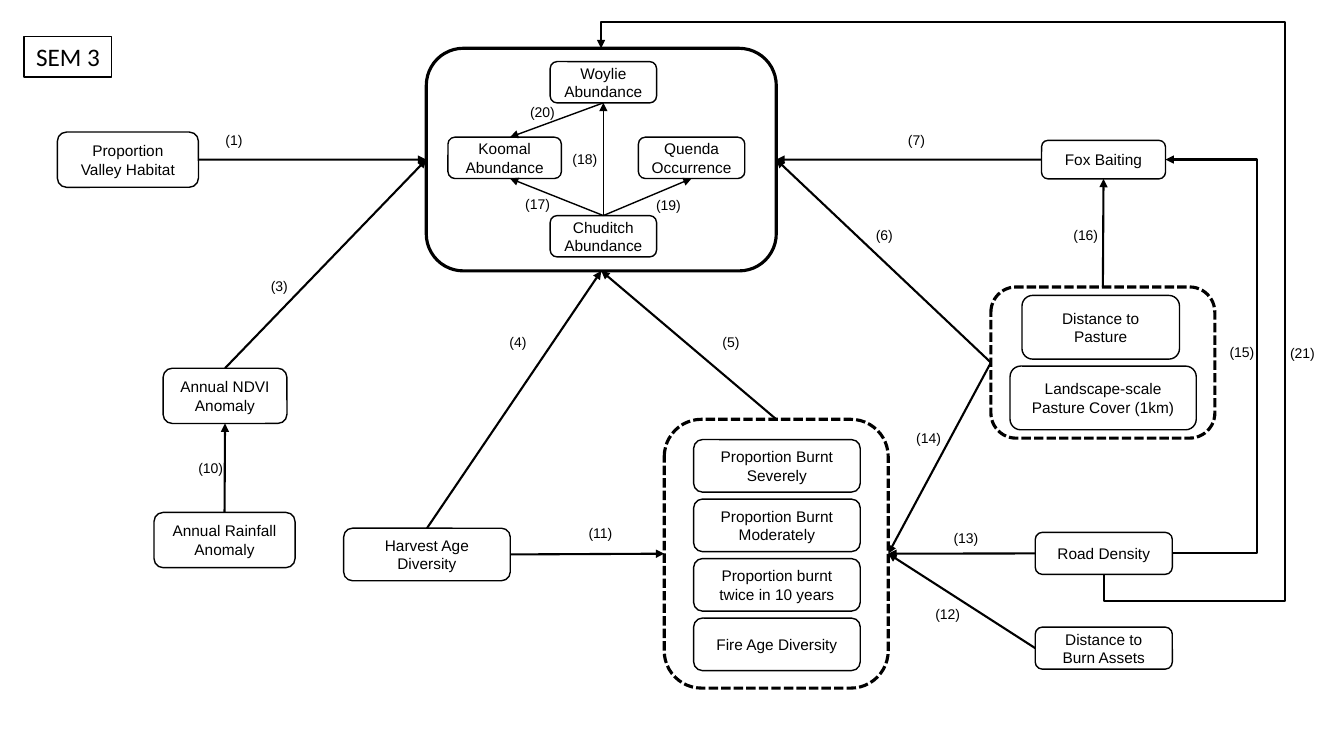
from lxml.etree import SubElement
from pptx import Presentation
from pptx.dml.color import RGBColor
from pptx.enum.dml import MSO_LINE as Dash
from pptx.enum.shapes import MSO_CONNECTOR as Link, MSO_SHAPE as Preset
from pptx.enum.text import MSO_ANCHOR as Anchor, MSO_AUTO_SIZE as Fit, PP_ALIGN as Align
from pptx.oxml.ns import qn
from pptx.util import Pt

TOP, LEFT, BOTTOM, RIGHT = range(4)


def color(hex_code):
    return RGBColor.from_string(hex_code)


class PathDiagram:
    INK, PAPER, FONT = "000000", "FFFFFF", "Arial"

    def __init__(self, slide):
        self.shapes = slide.shapes

    def set_text(self, shape, text, size, align=Align.CENTER, font=FONT):
        shape.text_frame.text = text
        paragraph = shape.text_frame.paragraphs[0]
        paragraph.alignment = align
        paragraph.font.size = Pt(size)
        paragraph.font.name = font
        paragraph.font.color.rgb = color(self.INK)

    def outline(self, preset, bounds, weight):
        shape = self.shapes.add_shape(preset, *map(Pt, bounds))
        shape.shadow.inherit = False
        shape.line.color.rgb = color(self.INK)
        shape.line.width = Pt(weight)
        return shape

    def frame(self, *bounds, dash=None):
        shape = self.outline(Preset.ROUNDED_RECTANGLE, bounds, 2.25)
        shape.fill.background()
        if dash:
            shape.line.dash_style = dash
        return shape

    def box(self, text, *bounds, preset=Preset.ROUNDED_RECTANGLE, size=11, font=FONT):
        shape = self.outline(preset, bounds, 1)
        shape.fill.solid()
        shape.fill.fore_color.rgb = color(self.PAPER)
        self.set_text(shape, text, size, font=font)
        shape.text_frame.vertical_anchor = Anchor.MIDDLE
        return shape

    def label(self, number, x, y, align):
        width = 30 if number < 10 else 37
        shape = self.shapes.add_textbox(Pt(x), Pt(y), Pt(width), Pt(19.5))
        self.set_text(shape, f"({number})", 10, align)
        shape.text_frame.word_wrap = True
        shape.text_frame.auto_size = Fit.SHAPE_TO_FIT_TEXT

    def finish(self, link, weight):
        link.line.color.rgb = color(self.INK)
        link.line.width = Pt(weight)
        properties = link._element.spPr
        SubElement(properties.find(qn("a:ln")), qn("a:tailEnd"), type="triangle")
        SubElement(properties, qn("a:effectLst"))

    def arrow(self, start, end, weight=1.5):
        """Each end is a (shape, side) pair to join, or a plain (x, y) point."""
        points = [(0, 0) if hasattr(a, "shape_id") else (a, b) for a, b in (start, end)]
        link = self.shapes.add_connector(Link.STRAIGHT, *(Pt(v) for p in points for v in p))
        for (target, side), join in ((start, link.begin_connect), (end, link.end_connect)):
            if hasattr(target, "shape_id"):
                join(target, side)
        self.finish(link, weight)

    def elbow(self, preset, start, end, bends, degrees=0):
        """Bends are fractions of the connector's extent; start and end precede turning."""
        link = self.shapes.add_connector(Link.ELBOW, *map(Pt, start + end))
        properties = link._element.spPr
        properties.find(qn("a:xfrm")).set("rot", str(degrees * 60000))
        geometry = properties.find(qn("a:prstGeom"))
        geometry.set("prst", preset)
        adjustments = geometry.find(qn("a:avLst"))
        if adjustments is None:
            adjustments = SubElement(geometry, qn("a:avLst"))
        for i, bend in enumerate(bends, 1):
            SubElement(adjustments, qn("a:gd"), name=f"adj{i}",
                       fmla=f"val {round(bend * 100000)}")
        self.finish(link, 1.5)


def main():
    deck = Presentation()
    deck.slide_width, deck.slide_height = Pt(960), Pt(540)
    diagram = PathDiagram(deck.slides.add_slide(deck.slide_layouts[6]))
    box, arrow = diagram.box, diagram.arrow

    # Title
    title = box("SEM 3", 17.3, 26, 62.6, 29, preset=Preset.RECTANGLE, size=18, font="Calibri")
    title.text_frame.word_wrap = False

    # Frames around the grouped variables
    species = diagram.frame(304.5, 34.5, 250, 159)
    fire = diagram.frame(474.5, 299.5, 160, 192, dash=Dash.SQUARE_DOT)
    pasture = diagram.frame(707.8, 205, 160, 108, dash=Dash.SQUARE_DOT)

    # Species
    woylie = box("Woylie Abundance", 393, 44, 76, 29.5)
    quenda = box("Quenda Occurrence", 456, 98, 76, 29.5)
    chuditch = box("Chuditch Abundance", 393, 154, 76, 29.5)
    box("Koomal Abundance", 320, 98, 81, 29.5)

    # Fire history
    for row, text in enumerate(("Proportion Burnt Severely", "Proportion Burnt Moderately",
                                "Proportion burnt twice in 10 years", "Fire Age Diversity")):
        box(text, 495.5, 314 + 42.5 * row, 119, 37.5)

    # Pasture
    box("Distance to Pasture", 730, 211, 112.5, 45.5)
    box("Landscape-scale Pasture Cover (1km)", 721.5, 261.5, 133, 45.5)

    # Single variables
    valley = box("Proportion Valley Habitat", 41, 94.3, 100.8, 39.5)
    ndvi = box("Annual NDVI Anomaly", 116.5, 263, 88.5, 39.5)
    rainfall = box("Annual Rainfall Anomaly", 110, 366, 100.8, 39.5)
    harvest = box("Harvest Age Diversity", 245.5, 377.3, 119, 37.5)
    baiting = box("Fox Baiting", 744, 100.3, 88.5, 27.5)
    roads = box("Road Density", 739.5, 380.3, 97.9, 30)
    assets = box("Distance to Burn Assets", 739.5, 448, 97.9, 30)

    # Paths between species
    for start, end in (((chuditch, TOP), (364.3, 127.5)),
                       ((chuditch, TOP), (quenda, BOTTOM)),
                       ((woylie, BOTTOM), (364.3, 98)),
                       ((chuditch, TOP), (woylie, BOTTOM))):
        arrow(start, end, weight=1)

    # Paths between variables
    for source, source_side, target, target_side in (
            (valley, RIGHT, species, LEFT), (ndvi, TOP, species, LEFT),
            (harvest, TOP, species, BOTTOM), (fire, TOP, species, BOTTOM),
            (pasture, LEFT, species, RIGHT), (baiting, LEFT, species, RIGHT),
            (rainfall, TOP, ndvi, BOTTOM), (harvest, RIGHT, fire, LEFT),
            (assets, LEFT, fire, RIGHT), (roads, LEFT, fire, RIGHT),
            (pasture, LEFT, fire, RIGHT), (pasture, TOP, baiting, BOTTOM)):
        arrow((source, source_side), (target, target_side))

    # Road density to fox baiting and to the species
    diagram.elbow("bentConnector3", (837.4, 395.3), (832.5, 114), [-12.4])
    diagram.elbow("bentConnector5", (796.9, 42.8), (421.1, 402), [-0.05, -0.36, 1.05], 90)

    # Path numbers
    for number, x, y in ((1, 154, 90.7), (3, 184.5, 195), (4, 355, 234.7), (5, 509, 234.7),
                         (6, 618.5, 158.4), (7, 641.5, 90.7), (10, 134.6, 324.7),
                         (11, 410.4, 370.8), (12, 661, 429), (13, 674, 375),
                         (14, 647.3, 303), (15, 871.2, 242), (16, 759.6, 158.4),
                         (17, 368, 136), (18, 401.8, 103.7), (19, 461.5, 136.8),
                         (20, 371.5, 70.6), (21, 914.4, 242.6)):
        diagram.label(number, x, y, Align.CENTER if number in (3, 4, 11) else Align.LEFT)

    deck.save("out.pptx")


if __name__ == "__main__":
    main()
